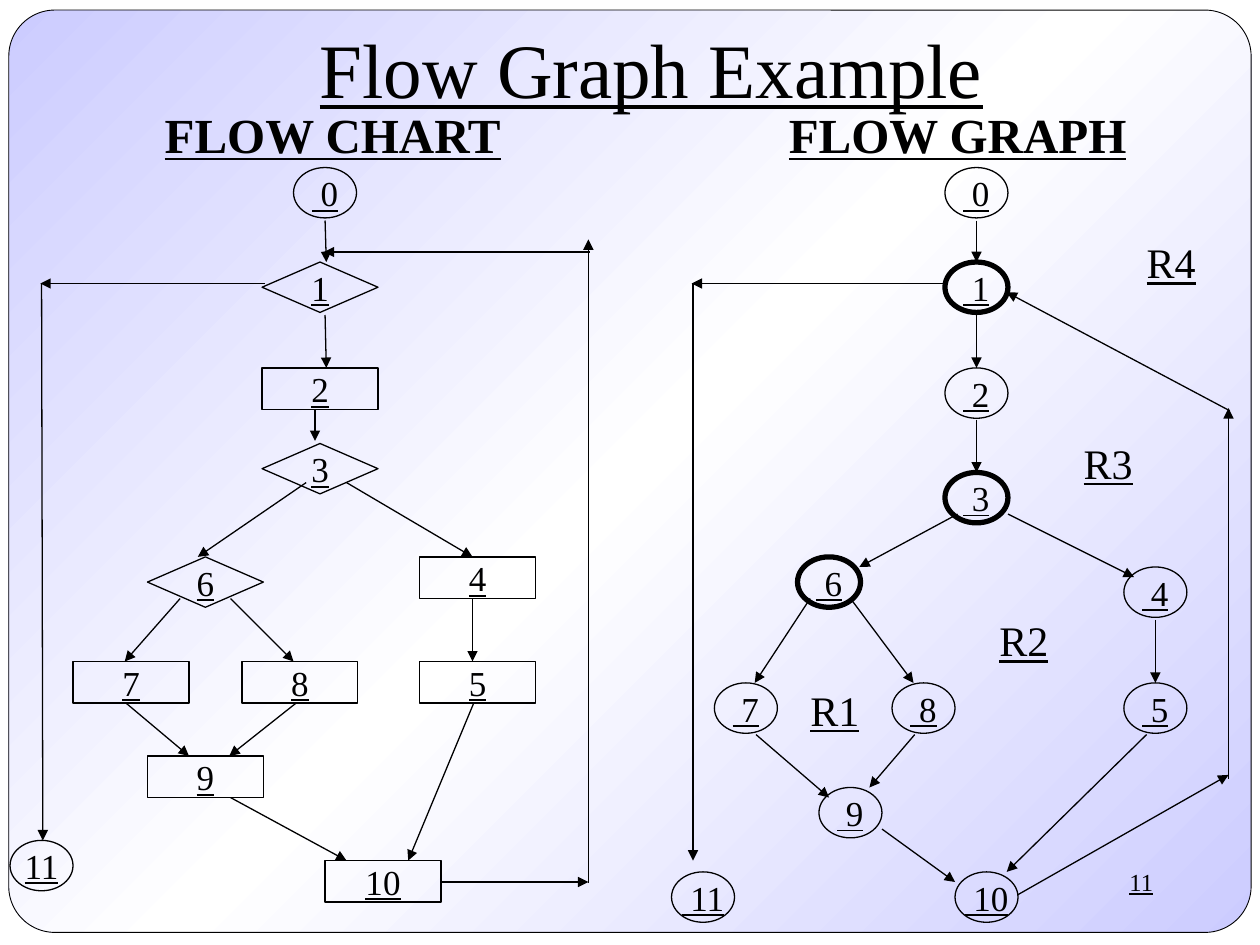
from copy import deepcopy

from pptx import Presentation
from pptx.dml.color import RGBColor
from pptx.enum.shapes import MSO_CONNECTOR, MSO_SHAPE
from pptx.enum.text import MSO_ANCHOR, PP_ALIGN
from pptx.oxml.ns import qn
from pptx.oxml.xmlchemy import OxmlElement
from pptx.util import Inches, Pt

BLACK = RGBColor(0x00, 0x00, 0x00)
WHITE = RGBColor(0xFF, 0xFF, 0xFF)
LAVENDER = RGBColor(0xCC, 0xCC, 0xFF)
FONT = "Times New Roman"
CENTER, RIGHT = PP_ALIGN.CENTER, PP_ALIGN.RIGHT
TOP, MIDDLE = MSO_ANCHOR.TOP, MSO_ANCHOR.MIDDLE
STRAIGHT = MSO_CONNECTOR.STRAIGHT
ROUNDED = MSO_SHAPE.ROUNDED_RECTANGLE
OVAL = MSO_SHAPE.OVAL
BOX = MSO_SHAPE.RECTANGLE
DECISION = MSO_SHAPE.FLOWCHART_DECISION

SIZES = {OVAL: (0.5, 0.4), BOX: (0.92, 0.33), DECISION: (0.92, 0.4)}

CHART_NODES = [
    (OVAL, " 0", 2.33, 1.33),
    (DECISION, "1", 2.08, 2.08),
    (BOX, "2", 2.08, 2.92),
    (DECISION, "3", 2.08, 3.52),
    (BOX, "4", 3.33, 4.42),
    (BOX, "5", 3.33, 5.25),
    (DECISION, "6", 1.17, 4.42),
    (BOX, "7", 0.58, 5.25),
    (BOX, "8", 1.92, 5.25),
    (BOX, "9", 1.17, 6),
    (BOX, "10", 2.58, 6.83),
    (OVAL, "11", 0.08, 6.67),
]
GRAPH_POSITIONS = [
    (7.5, 1.33), (7.5, 2.08), (7.5, 2.92), (7.5, 3.75),
    (8.92, 4.5), (8.92, 5.42), (6.33, 4.42), (5.67, 5.42),
    (7.08, 5.42), (6.5, 6.25), (7.58, 6.92), (5.33, 6.92),
]
GRAPH_NODES = [(OVAL, f" {n}", x, y) for n, (x, y) in enumerate(GRAPH_POSITIONS)]
PREDICATES = (" 1", " 3", " 6")

CHART_ARROWS = [
    (2.58, 1.75, 2.59, 2.08), (2.58, 2.5, 2.59, 2.92), (2.5, 3.25, 2.5, 3.5),
    (2.43, 3.83, 1.57, 4.42), (2.75, 3.83, 3.75, 4.42), (3.75, 4.75, 3.75, 5.25),
    (1.43, 4.75, 0.99, 5.25), (1.83, 4.75, 2.33, 5.25), (1, 5.58, 1.5, 6),
    (2.35, 5.58, 1.82, 6), (1.83, 6.33, 2.75, 6.83), (3.76, 5.58, 3.24, 6.83),
    (2.1, 2.25, 0.32, 2.25), (0.33, 2.25, 0.34, 6.67), (3.5, 7, 4.67, 7),
    (4.67, 7.01, 4.67, 1.9), (4.68, 2, 2.57, 2),
]
GRAPH_ARROWS = [
    (7.75, 1.75, 7.75, 2.08), (7.75, 2.5, 7.75, 2.92), (7.75, 3.33, 7.75, 3.75),
    (7.6, 4.08, 6.82, 4.5), (8, 4.08, 9, 4.58), (6.43, 4.75, 5.99, 5.42),
    (6.75, 4.75, 7.25, 5.42), (6, 5.83, 6.58, 6.33), (7.26, 5.83, 6.9, 6.25),
    (7, 6.58, 7.58, 7), (9.1, 5.83, 7.99, 6.92), (9.17, 4.92, 9.17, 5.42),
    (7.51, 2.25, 5.49, 2.25), (5.5, 2.25, 5.5, 6.83), (8.08, 7.1, 9.75, 6.15),
    (9.75, 6.18, 9.75, 3.24), (9.76, 3.26, 7.99, 2.32),
]

LABELS = [
    ("FLOW CHART", 1.2, 0.78, 2.88, 0.57, 28, True, CENTER),
    ("FLOW GRAPH", 6.16, 0.78, 2.88, 0.57, 28, True, CENTER),
    ("R1", 6.33, 5.38, 0.59, 0.5, 24, False, CENTER),
    ("R2", 7.83, 4.83, 0.59, 0.5, 24, False, CENTER),
    ("R3", 8.5, 3.42, 0.59, 0.5, 24, False, CENTER),
    ("R4", 9, 1.83, 0.59, 0.5, 24, False, CENTER),
    ("11", 7.17, 6.83, 2.08, 0.5, 14, False, RIGHT),
]


def write(shape, text, size, bold=False, align=CENTER, anchor=MIDDLE, wrap=False):
    tf = shape.text_frame
    tf.text = text
    tf.word_wrap = wrap
    tf.vertical_anchor = anchor
    p = tf.paragraphs[0]
    p.alignment = align
    p.font.name = FONT
    p.font.size = Pt(size)
    p.font.bold = bold
    p.font.underline = True
    p.font.color.rgb = BLACK


prs = Presentation()
prs.slide_width = Inches(10)
prs.slide_height = Inches(7.5)
s = prs.slides.add_slide(prs.slide_layouts[5])

panel = s.shapes.add_shape(ROUNDED, Inches(0.07), Inches(0.08), Inches(9.86), Inches(7.32))
panel.adjustments[0] = 0.05
panel.shadow.inherit = False
panel.line.color.rgb = BLACK
panel.line.width = Pt(0.5)
panel.fill.gradient()
panel.fill.gradient_angle = 135
for stop in panel.fill.gradient_stops:
    stop.color.rgb = LAVENDER
stop_list = panel._element.spPr.find(qn("a:gradFill")).find(qn("a:gsLst"))
stop_list.insert(1, deepcopy(stop_list[0]))
for stop, position in zip(panel.fill.gradient_stops, (0, 0.5, 1)):
    stop.position = position
panel.fill.gradient_stops[1].color.rgb = WHITE
s.shapes._spTree.insert(2, panel._element)

title = s.shapes.title
title.left, title.top = Inches(0.92), Inches(0)
title.width, title.height = Inches(8.5), Inches(1.08)
write(title, "Flow Graph Example", 44, wrap=True)

for kind, text, x, y in CHART_NODES + GRAPH_NODES:
    width, height = SIZES[kind]
    node = s.shapes.add_shape(kind, Inches(x), Inches(y), Inches(width), Inches(height))
    node.shadow.inherit = False
    node.fill.background()
    node.line.color.rgb = BLACK
    node.line.width = Pt(3 if text in PREDICATES else 0.75)
    write(node, text, 20)

for x1, y1, x2, y2 in CHART_ARROWS + GRAPH_ARROWS:
    arrow = s.shapes.add_connector(STRAIGHT, Inches(x1), Inches(y1), Inches(x2), Inches(y2))
    arrow.line.color.rgb = BLACK
    arrow.line.width = Pt(0.75)
    tail = OxmlElement("a:tailEnd")
    tail.set("type", "triangle")
    arrow.line._get_or_add_ln().append(tail)
    arrow._element.spPr.append(OxmlElement("a:effectLst"))

for text, x, y, width, height, size, bold, align in LABELS:
    label = s.shapes.add_textbox(Inches(x), Inches(y), Inches(width), Inches(height))
    write(label, text, size, bold, align, TOP, wrap=align == RIGHT)

prs.save("out.pptx")
